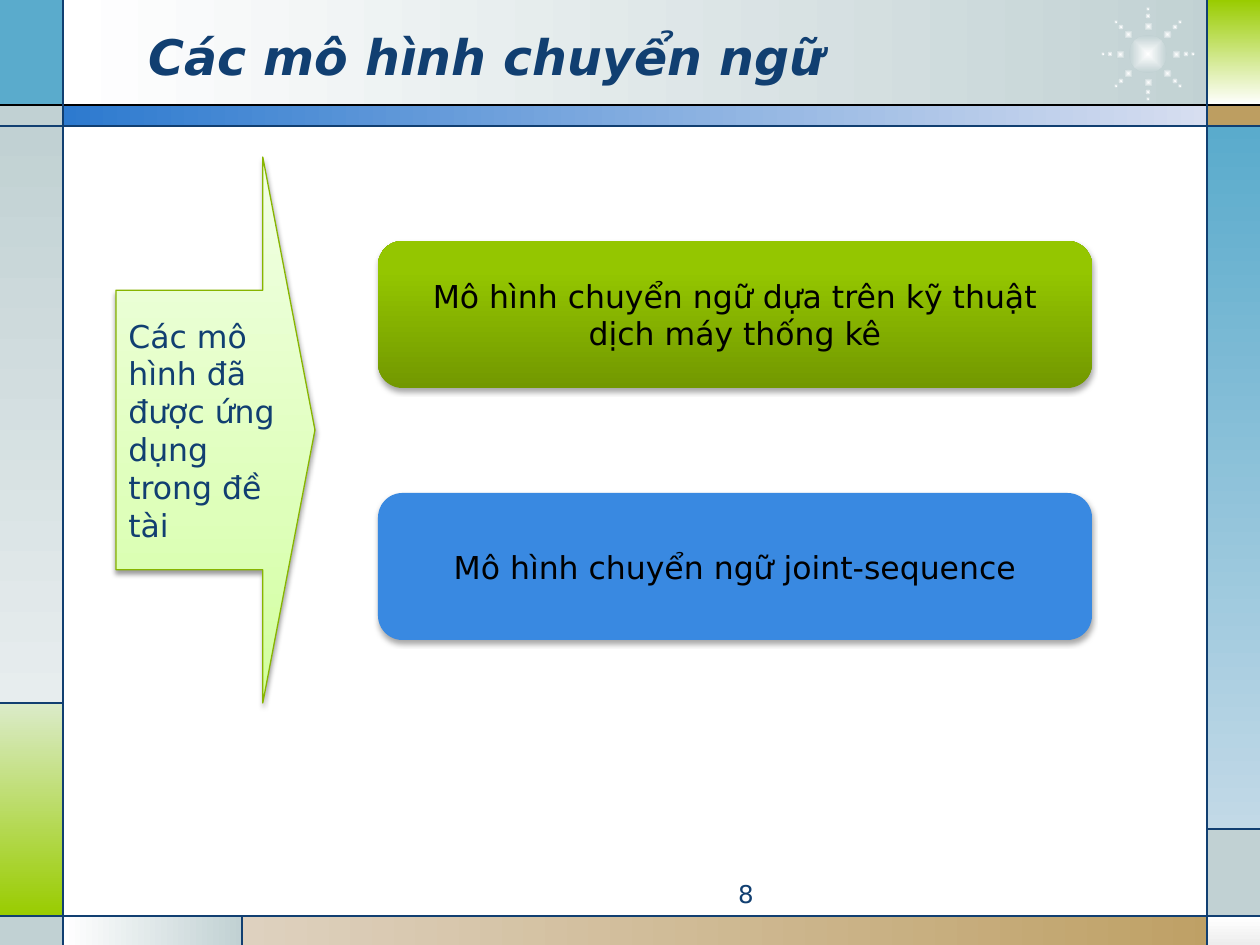
from dataclasses import dataclass
from math import cos, radians, sin
from typing import Optional

from lxml import etree
from pptx import Presentation
from pptx.dml.color import RGBColor
from pptx.enum.shapes import MSO_CONNECTOR as Connector, MSO_SHAPE as Shape
from pptx.enum.text import MSO_ANCHOR as Anchor, PP_ALIGN as Align
from pptx.oxml import parse_xml
from pptx.oxml.ns import nsdecls, qn
from pptx.util import Emu, Pt

WIDTH, HEIGHT = 1260, 945
SCALE = 914400 / 126
FONT = "DejaVu Sans"
NAVY, BLACK, WHITE = "113F71", "000000", "FFFFFF"
GREY, TEAL, LIME, TAN = "C1D1D3", "5AABCC", "99CC00", "BD9E61"
RIGHT, DOWN, UP = 0, 90, 270


@dataclass(frozen=True)
class Gradient:
    """Colour stops in percent; no angle means the gradient follows the outline."""
    stops: tuple[tuple[int, str], ...]
    angle: Optional[int] = None


@dataclass(frozen=True)
class Block:
    """A filled shape, placed in pixels."""
    left: int
    top: int
    width: int
    height: int
    fill: str | Gradient
    kind: Shape = Shape.RECTANGLE
    line: Optional[str] = None
    shadow: int = 0
    adjustments: tuple[float, ...] = ()


@dataclass(frozen=True)
class Rule:
    """A straight dividing line between two points, in pixels."""
    x1: int
    y1: int
    x2: int
    y2: int
    color: str = NAVY


def px(length: float) -> Emu:
    """Turn pixels into EMU."""
    return Emu(round(length * SCALE))


def rgb(color: str) -> RGBColor:
    """Turn a hex string into a colour."""
    return RGBColor.from_string(color)


def fade(start: str, end: str, angle: Optional[int] = None) -> Gradient:
    """Make a gradient of two colours."""
    return Gradient(((0, start), (100, end)), angle)


def apply_fill(shape, fill: str | Gradient) -> None:
    """Fill a shape with one colour or a gradient."""
    if isinstance(fill, str):
        shape.fill.solid()
        shape.fill.fore_color.rgb = rgb(fill)
        return
    stops = "".join(f'<a:gs pos="{pos * 1000}"><a:srgbClr val="{color}"/></a:gs>'
                    for pos, color in fill.stops)
    if fill.angle is None:
        course = ('<a:path path="shape"><a:fillToRect l="50000" t="50000" '
                  'r="50000" b="50000"/></a:path>')
    else:
        course = f'<a:lin ang="{fill.angle * 60000}" scaled="0"/>'
    shape.fill.background()
    properties = shape._element.spPr
    properties.replace(properties.find(qn("a:noFill")), parse_xml(
        f'<a:gradFill {nsdecls("a")} rotWithShape="1">'
        f'<a:gsLst>{stops}</a:gsLst>{course}</a:gradFill>'))


def apply_shadow(shape, opacity: int) -> None:
    """Give a shape a soft shadow below it, or none at zero opacity."""
    shape.shadow.inherit = False
    if opacity:
        effects = shape._element.spPr.find(qn("a:effectLst"))
        effects.append(parse_xml(
            f'<a:outerShdw {nsdecls("a")} blurRad="{Pt(3.1)}" dist="{Pt(1.8)}" '
            f'dir="5400000" rotWithShape="0"><a:srgbClr val="{BLACK}">'
            f'<a:alpha val="{opacity * 1000}"/></a:srgbClr></a:outerShdw>'))


def draw_block(slide, block: Block):
    """Draw a filled shape and return it."""
    shape = slide.shapes.add_shape(block.kind, px(block.left), px(block.top),
                                   px(block.width), px(block.height))
    for index, value in enumerate(block.adjustments):
        shape.adjustments[index] = value
    apply_fill(shape, block.fill)
    if block.line:
        shape.line.color.rgb = rgb(block.line)
        shape.line.width = Pt(0.75)
    else:
        shape.line.fill.background()
    apply_shadow(shape, block.shadow)
    return shape


def draw_rule(slide, rule: Rule) -> None:
    """Draw a thin dividing line."""
    line = slide.shapes.add_connector(Connector.STRAIGHT, px(rule.x1), px(rule.y1),
                                      px(rule.x2), px(rule.y2))
    line.line.color.rgb = rgb(rule.color)
    line.line.width = Pt(0.75)
    etree.SubElement(line._element.spPr, qn("a:effectLst"))


def write(shape, text: str, *, size: int = 18, color: str = BLACK,
          align: Align = Align.LEFT, anchor: Anchor = Anchor.MIDDLE,
          bold: bool = False, italic: bool = False) -> None:
    """Put formatted text into a shape."""
    frame = shape.text_frame
    frame.word_wrap = True
    frame.vertical_anchor = anchor
    paragraph = frame.paragraphs[0]
    paragraph.alignment = align
    run = paragraph.add_run()
    run.text = text
    font = run.font
    font.name, font.size, font.bold, font.italic = FONT, Pt(size), bold, italic
    font.color.rgb = rgb(color)


def draw_burst(slide, x: int, y: int) -> None:
    """Draw a glowing disc with eight rays of shrinking dots."""
    glow = fade(WHITE, GREY)
    dots = [(0, 0, 38)] + [(angle, radius, size) for angle in range(0, 360, 45)
                           for radius, size in ((28, 9), (38, 6), (45, 4))]
    for angle, radius, size in dots:
        left = x + radius * cos(radians(angle)) - size / 2
        top = y + radius * sin(radians(angle)) - size / 2
        draw_block(slide, Block(round(left), round(top), size, size, glow, Shape.OVAL))


FRAME = (
    Block(63, 0, 1168, 105, fade(WHITE, GREY, RIGHT)),
    Block(0, 0, 63, 105, TEAL),
    Block(0, 105, 63, 21, GREY),
    Block(0, 126, 63, 577, fade(GREY, "E7EDEE", DOWN)),
    Block(0, 703, 63, 213, fade("DBEBC9", LIME, DOWN)),
    Block(0, 916, 63, 29, GREY),
    Block(63, 916, 179, 29, fade(WHITE, GREY, RIGHT)),
    Block(242, 916, 1018, 29, fade("DED1BF", TAN, RIGHT)),
    Block(1208, 916, 52, 29, fade(WHITE, "EDEDED", DOWN)),
    Block(1208, 829, 52, 87, GREY),
    Block(1208, 126, 52, 703, fade(TEAL, "C2D9E7", DOWN)),
    Block(1208, 105, 52, 21, TAN),
    Block(1208, 0, 52, 105, fade(LIME, WHITE, DOWN)),
    Block(63, 105, 1145, 21, fade("2D7ACF", "D7DEF0", RIGHT)),
)
RULES = (
    Rule(0, 105, WIDTH, 105, BLACK),
    Rule(0, 126, WIDTH, 126),
    Rule(0, 916, WIDTH, 916),
    Rule(63, 0, 63, HEIGHT),
    Rule(1207, 0, 1207, HEIGHT),
    Rule(0, 703, 63, 703),
    Rule(242, 916, 242, HEIGHT),
    Rule(1207, 829, WIDTH, 829),
)
GREEN = Gradient(((0, "729800"), (80, "94C600"), (100, "95C700")), UP)
PALE_GREEN = Gradient(((0, "D2FF9D"), (35, "DEFFBA"), (100, "F2FFE5")), UP)
MODELS = (
    ("Mô hình chuyển ngữ dựa trên kỹ thuật dịch máy thống kê", GREEN),
    ("Mô hình chuyển ngữ joint-sequence", "3989E1"),
)

deck = Presentation()
deck.slide_width, deck.slide_height = px(WIDTH), px(HEIGHT)
slide = deck.slides.add_slide(deck.slide_layouts[5])

for part in FRAME:
    draw_block(slide, part)
draw_burst(slide, 1148, 54)
for rule in RULES:
    draw_rule(slide, rule)

title = slide.shapes.title
title.left, title.top, title.width, title.height = px(136), px(17), px(924), px(78)
write(title, "Các mô hình chuyển ngữ", size=28, color=NAVY, bold=True, italic=True)
slide.shapes._spTree.append(title._element)

page_number = slide.shapes.add_textbox(px(472), px(873), px(294), px(34))
write(page_number, "8", size=14, color=NAVY, align=Align.RIGHT, anchor=Anchor.TOP)

for row, (model, fill) in enumerate(MODELS):
    box = draw_block(slide, Block(378, 241 + row * 252, 714, 147, fill,
                                  Shape.ROUNDED_RECTANGLE, shadow=35))
    write(box, model, align=Align.CENTER)

applied = draw_block(slide, Block(116, 157, 199, 546, PALE_GREEN, Shape.RIGHT_ARROW,
                                  "87B500", 38, (0.512, 0.262)))
write(applied, "Các mô hình đã được ứng dụng trong đề tài", color=NAVY)

deck.save("out.pptx")
